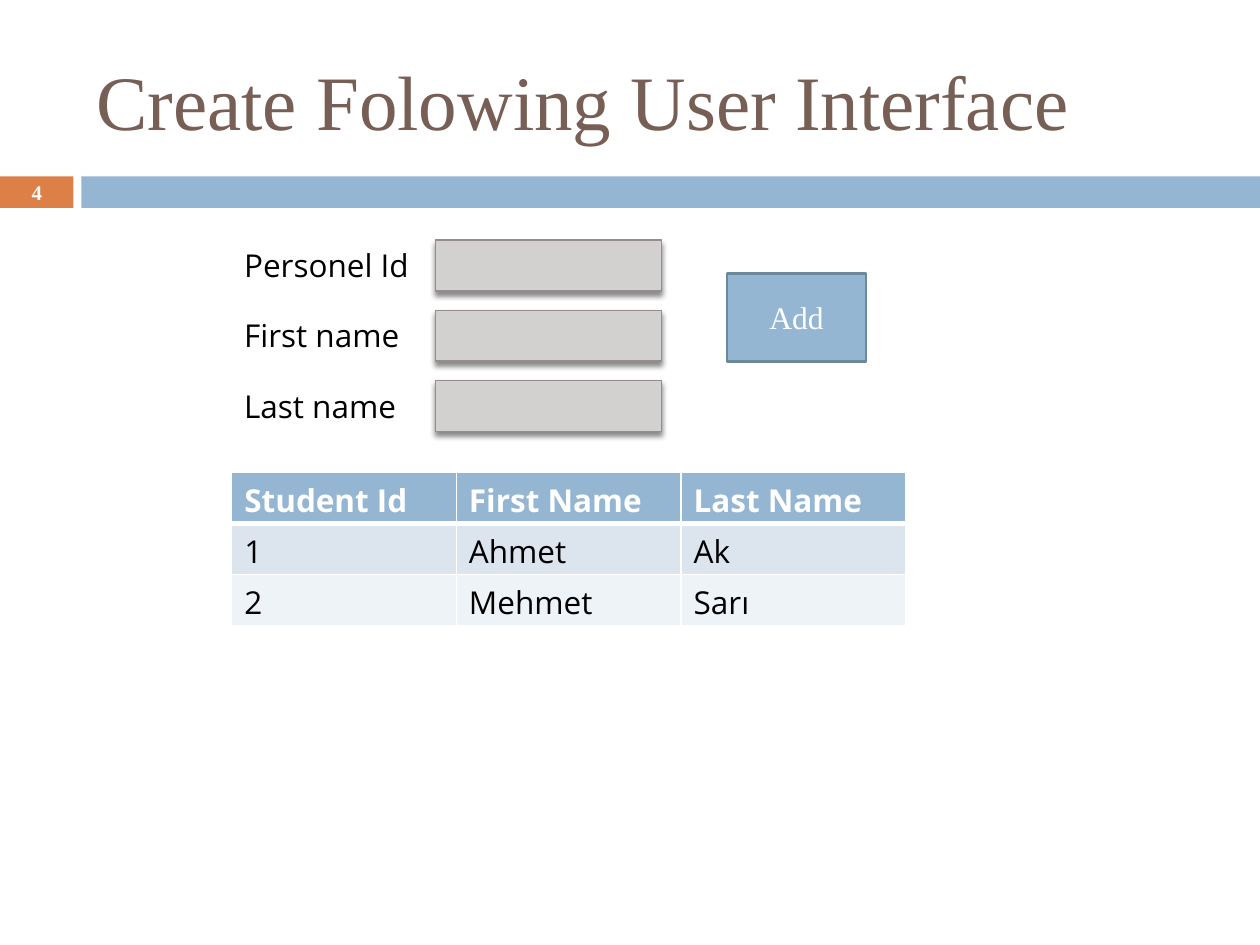
"""Build the user interface exercise slide."""
from lxml import etree
from pptx import Presentation
from pptx.dml.color import RGBColor
from pptx.enum.shapes import MSO_SHAPE
from pptx.enum.text import MSO_ANCHOR, PP_ALIGN
from pptx.oxml import parse_xml
from pptx.oxml.ns import qn
from pptx.util import Pt

RECT = MSO_SHAPE.RECTANGLE
MIDDLE, TOP = MSO_ANCHOR.MIDDLE, MSO_ANCHOR.TOP
LEFT, CENTER = PP_ALIGN.LEFT, PP_ALIGN.CENTER
SERIF, SANS = "Times New Roman", "Open Sans"
WHITE, BLACK = RGBColor(255, 255, 255), RGBColor(0, 0, 0)
BROWN = RGBColor(0x77, 0x5F, 0x55)
ORANGE = RGBColor(0xDD, 0x80, 0x47)
BLUE, DARK_BLUE = RGBColor(0x94, 0xB6, 0xD2), RGBColor(0x6D, 0x87, 0x9B)
GREY, DARK_GREY = RGBColor(0xD3, 0xD0, 0xD0), RGBColor(0x96, 0x8C, 0x8C)
ROW_FILLS = [BLUE, RGBColor(0xDC, 0xE5, 0xEE), RGBColor(0xEE, 0xF3, 0xF7)]
A_NS = "http://schemas.openxmlformats.org/drawingml/2006/main"

TITLE = "Create Folowing User Interface"
PAGE = "4"
BUTTON = "Add"
FIELDS = ["Personel Id", "First name", "Last name"]
ROWS = [
    ("Student Id", "First Name", "Last Name"),
    ("1", "Ahmet", "Ak"),
    ("2", "Mehmet", "Sarı"),
]
FORM_LEFT, FORM_TOP, FIELD_STEP, FIELD_H = 132.4, 137.2, 40.1, 29.1
INPUT_LEFT, INPUT_W = 249, 129
TABLE_TOP, COL_W, ROW_H = 270, 128.4, 29.2


def write(tf, text, font, size, color, bold=False, align=LEFT, anchor=TOP):
    tf.text = text
    tf.vertical_anchor = anchor
    p = tf.paragraphs[0]
    p.alignment = align
    f = p.runs[0].font
    f.name, f.size, f.bold = font, Pt(size), bold
    f.color.rgb = color


def add_text(x, y, w, h, text, *style, wrap=True, **options):
    tf = s.shapes.add_textbox(Pt(x), Pt(y), Pt(w), Pt(h)).text_frame
    tf.word_wrap = wrap
    write(tf, text, *style, **options)


def add_rect(x, y, w, h, fill, line=None, weight=0):
    sp = s.shapes.add_shape(RECT, Pt(x), Pt(y), Pt(w), Pt(h))
    sp.shadow.inherit = False
    sp.fill.solid()
    sp.fill.fore_color.rgb = fill
    if line is None:
        sp.line.fill.background()
    else:
        sp.line.color.rgb = line
        sp.line.width = Pt(weight)
    return sp


def add_shadow(sp):
    effects = sp._element.spPr.find(qn("a:effectLst"))
    effects.append(parse_xml(
        f'<a:outerShdw xmlns:a="{A_NS}" blurRad="{Pt(3)}" dist="{Pt(2.4)}" '
        'dir="5400000" rotWithShape="0"><a:srgbClr val="000000">'
        '<a:alpha val="45000"/></a:srgbClr></a:outerShdw>'))


def add_borders(cell, top, bottom):
    tc_pr = cell._tc.get_or_add_tcPr()
    for side, weight in (("L", 1), ("R", 1), ("T", top), ("B", bottom)):
        ln = etree.SubElement(tc_pr, qn(f"a:ln{side}"), w=str(Pt(weight)))
        fill = etree.SubElement(ln, qn("a:solidFill"))
        etree.SubElement(fill, qn("a:srgbClr"), val=str(WHITE))


prs = Presentation()
prs.slide_width, prs.slide_height = Pt(720), Pt(540)
s = prs.slides.add_slide(prs.slide_layouts[6])

add_rect(0, 100.8, 42, 18, ORANGE)
add_rect(46.5, 100.8, 673.5, 18, BLUE)
add_text(48, 18, 642, 78, TITLE, SERIF, 44, BROWN, anchor=MIDDLE)
add_text(0, 100, 42, 19.5, PAGE, SERIF, 11.9, WHITE,
         bold=True, align=CENTER, anchor=MIDDLE)

tbl = s.shapes.add_table(
    len(ROWS), len(ROWS[0]), Pt(FORM_LEFT), Pt(TABLE_TOP),
    Pt(COL_W * len(ROWS[0])), Pt(ROW_H * len(ROWS))).table
for i, row in enumerate(ROWS):
    header = i == 0
    for j, text in enumerate(row):
        cell = tbl.cell(i, j)
        add_borders(cell, 3 if i == 1 else 1, 3 if header else 1)
        cell.fill.solid()
        cell.fill.fore_color.rgb = ROW_FILLS[i]
        write(cell.text_frame, text, SANS, 18,
              WHITE if header else BLACK, bold=header)

for i, label in enumerate(FIELDS):
    y = FORM_TOP + i * FIELD_STEP
    add_text(FORM_LEFT, y, INPUT_LEFT - FORM_LEFT, FIELD_H, label,
             SANS, 18, BLACK, wrap=False)
    add_shadow(add_rect(INPUT_LEFT, y, INPUT_W, FIELD_H, GREY, DARK_GREY, 0.79))

button = add_rect(415.4, 156.2, 79.4, 50.4, BLUE, DARK_BLUE, 1.5)
write(button.text_frame, BUTTON, SERIF, 18, WHITE, align=CENTER, anchor=MIDDLE)

prs.save("out.pptx")
